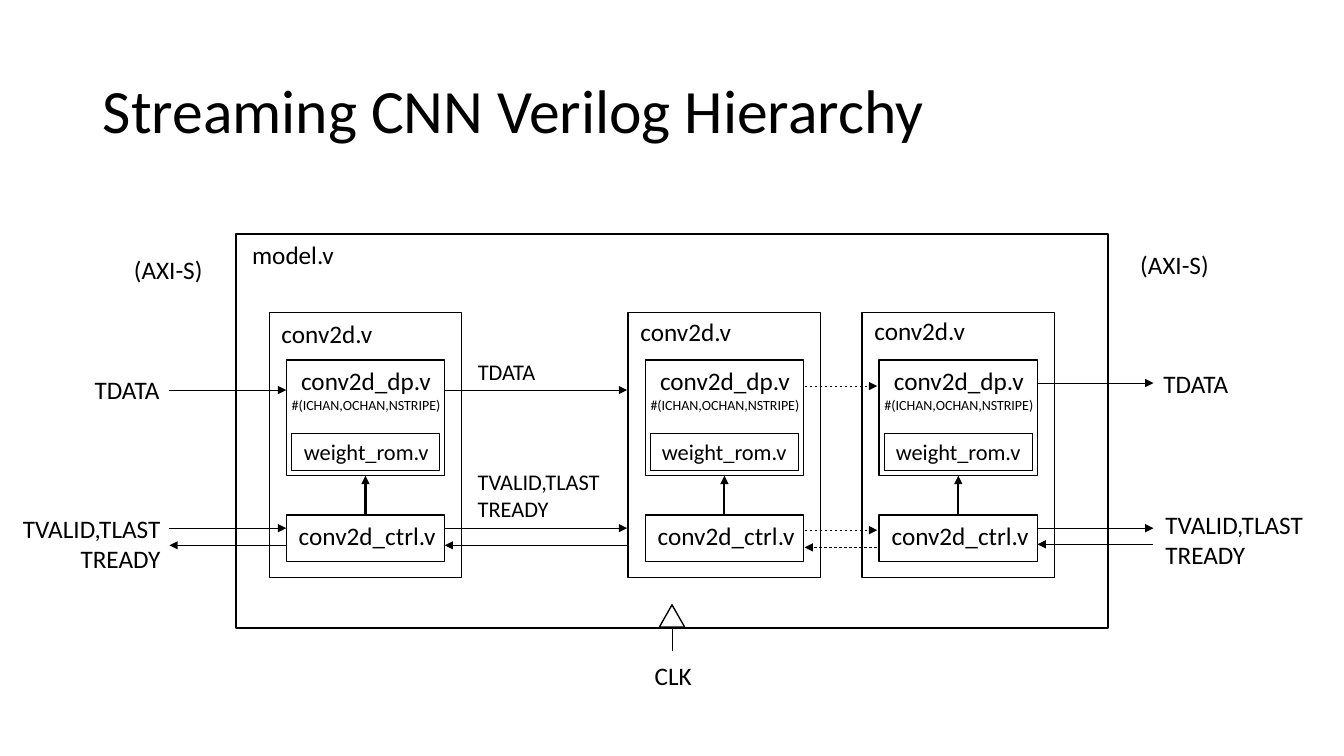
from pptx import Presentation
from pptx.dml.color import RGBColor
from pptx.enum.dml import MSO_LINE
from pptx.enum.shapes import MSO_CONNECTOR, MSO_SHAPE
from pptx.enum.text import MSO_ANCHOR, PP_ALIGN as AL
from pptx.oxml.ns import qn
from pptx.util import Inches, Pt
from lxml import etree

COLORS = {"ink": "000000"}
INK = RGBColor.from_string(COLORS["ink"])
FONT = "Calibri"

prs = Presentation()
prs.slide_width, prs.slide_height = Inches(13.33), Inches(7.5)
s = prs.slides.add_slide(prs.slide_layouts[5])


def add_box(x, y, w, h, lines=None, align=AL.RIGHT, wrap=True, shape=MSO_SHAPE.RECTANGLE):
    """Add a text box for lines of (text, size), or an outlined shape without them."""
    area = [Inches(v) for v in (x, y, w, h)]
    if lines is None:
        sp = s.shapes.add_shape(shape, *area)
        sp.shadow.inherit = False
        sp.fill.background()
        sp.line.color.rgb = INK
        sp.line.width = Pt(1)
        return sp
    sp = s.shapes.add_textbox(*area)
    tf = sp.text_frame
    tf.word_wrap = wrap
    tf.text = "\n".join(text for text, size in lines)
    for p, (text, size) in zip(tf.paragraphs, lines):
        p.alignment = align
        f = p.runs[0].font
        f.name, f.size, f.color.rgb = FONT, Pt(size), INK
    return sp


def add_line(x1, y1, x2, y2, width=0.5, dashed=False, arrow=True):
    ends = [Inches(v) for v in (x1, y1, x2, y2)]
    c = s.shapes.add_connector(MSO_CONNECTOR.STRAIGHT, *ends)
    c.line.color.rgb = INK
    c.line.width = Pt(width)
    if dashed:
        c.line.dash_style = MSO_LINE.DASH
    if arrow:
        etree.SubElement(c.line._get_or_add_ln(), qn("a:tailEnd"), type="triangle")
    etree.SubElement(c._element.spPr, qn("a:effectLst"))
    return c


# Title
title = s.shapes.title
title.left, title.top, title.width, title.height = [Inches(v) for v in (0.92, 0.4, 11.5, 1.45)]
tf = title.text_frame
tf.text = "Streaming CNN Verilog Hierarchy"
tf.vertical_anchor = MSO_ANCHOR.MIDDLE
p = tf.paragraphs[0]
p.alignment, p.line_spacing = AL.LEFT, 0.9
f = p.runs[0].font
f.name, f.size, f.color.rgb = FONT, Pt(44), INK

# Top module
add_box(2.34, 2.32, 8.65, 3.91)
add_box(2.34, 2.33, 1.07, 0.4, [("model.v", 18)])

# Convolution layers: left edge, top of the name, left and width of the ROM label
LAYERS = [(2.67, 3.11, 0.21, 1.47), (6.23, 3.09, 0.07, 1.6), (8.55, 3.08, 0.07, 1.6)]
for x, name_y, rom_x, rom_w in LAYERS:
    add_box(x, 3.1, 1.91, 2.63)
    add_box(x, name_y, 1.12, 0.4, [("conv2d.v", 18)])
    ctrl = add_box(x + 0.17, 5.11, 1.57, 0.46)
    add_box(x + 0.15, 5.11, 1.6, 0.4, [("conv2d_ctrl.v", 18)])
    datapath = add_box(x + 0.17, 3.57, 1.57, 1.15)
    add_box(x + 0.09, 3.58, 1.74, 0.57,
            [("conv2d_dp.v", 18), ("#(ICHAN,OCHAN,NSTRIPE)", 10)], AL.CENTER)
    add_box(x + 0.22, 4.3, 1.47, 0.37)
    add_box(x + rom_x, 4.3, rom_w, 0.37, [("weight_rom.v", 16)])
    control = add_line(x + 0.96, 5.11, x + 0.96, 4.72, width=1.5)
    control.begin_connect(ctrl, 0)
    control.end_connect(datapath, 2)

# Stream links: left and right end, heights of data, valid and ready, dashed
LINKS = [
    (1.68, 2.84, 3.87, 5.24, 5.41, False),
    (4.41, 6.22, 3.87, 5.24, 5.41, False),
    (7.98, 8.7, 3.83, 5.26, 5.43, True),
    (10.29, 11.44, 3.8, 5.24, 5.4, False),
]
for left, right, data, valid, ready, dashed in LINKS:
    add_line(left, data, right, data, dashed=dashed)
    add_line(left, valid, right, valid, dashed=dashed)
    add_line(right, ready, left, ready, dashed=dashed)

# Signal names: size, alignment, then the places of the data and handshake labels
SIGNALS = [
    (18, AL.RIGHT, (0.83, 3.66, 0.85, 0.4), (0.11, 5.04, 1.58, 0.71)),
    (16, AL.LEFT, (4.64, 3.5, 0.78, 0.37), (4.64, 4.6, 1.43, 0.64)),
    (18, AL.LEFT, (11.44, 3.6, 0.85, 0.4), (11.46, 5, 1.58, 0.71)),
]
for size, align, data_area, handshake_area in SIGNALS:
    add_box(*data_area, [("TDATA", size)], align, wrap=False)
    add_box(*handshake_area, [("TVALID,TLAST", size), ("TREADY", size)], align, wrap=False)
for x, y in [(1.23, 2.47), (11.21, 2.42)]:
    add_box(x, y, 0.89, 0.4, [("(AXI-S)", 18)], AL.LEFT, wrap=False)

# Clock input
add_box(6.54, 6, 0.25, 0.22, shape=MSO_SHAPE.ISOSCELES_TRIANGLE)
add_line(6.67, 6.22, 6.67, 6.46, arrow=False)
add_box(6.38, 6.5, 0.58, 0.4, [("CLK", 18)], wrap=False)

prs.save("out.pptx")
